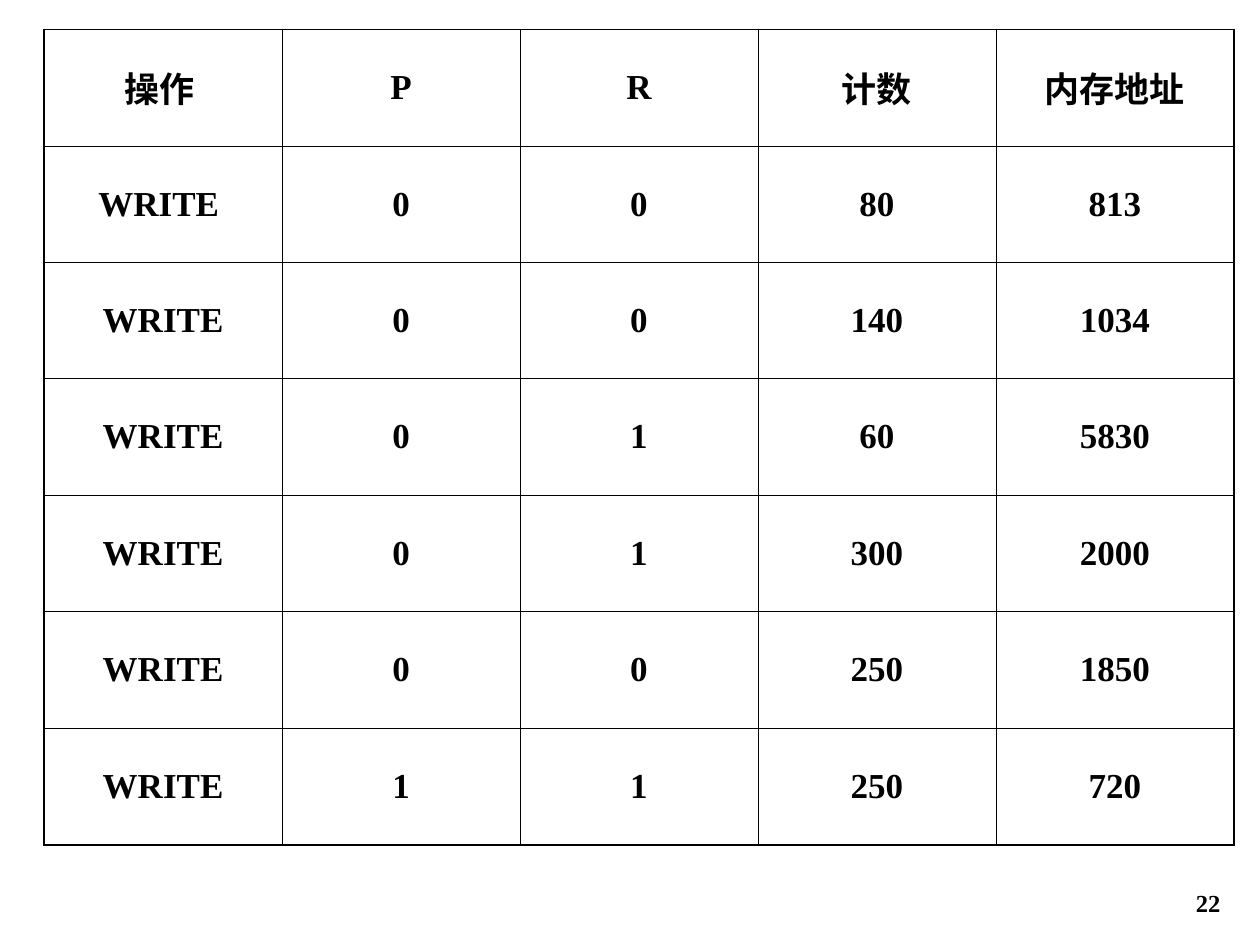
import pptx
import pptx.util
import pptx.dml.color
import pptx.enum.text
import pptx.oxml
import pptx.oxml.ns

Pt = pptx.util.Pt
ALIGN = pptx.enum.text.PP_ALIGN
ANCHOR = pptx.enum.text.MSO_ANCHOR
BLACK = pptx.dml.color.RGBColor(0, 0, 0)
FONT = "Times New Roman"

ROWS = [
    ("操作 ", "P", "R", "计数", "内存地址"),
    ("WRITE ", "0", "0", "80", "813"),
    ("WRITE", "0", "0", "140", "1034"),
    ("WRITE", "0", "1", "60", "5830"),
    ("WRITE", "0", "1", "300", "2000"),
    ("WRITE", "0", "0", "250", "1850"),
    ("WRITE", "1", "1", "250", "720"),
]
PAGE = "22"

LEFT, TOP, WIDTH, HEIGHT = 25.2, 16.8, 680, 466
THIN, THICK = 0.45, 1.08


def write(frame, text, size, align):
    frame.text = text
    para = frame.paragraphs[0]
    para.alignment = align
    font = para.runs[0].font
    font.name, font.size, font.bold = FONT, Pt(size), True
    font.color.rgb = BLACK


def border(cell, side, width):
    line = pptx.oxml.parse_xml(
        f'<a:ln{side} {pptx.oxml.ns.nsdecls("a")} w="{int(Pt(width))}">'
        f'<a:solidFill><a:srgbClr val="{BLACK}"/></a:solidFill></a:ln{side}>'
    )
    cell._tc.get_or_add_tcPr().append(line)


def add_grid(slide):
    rows, cols = len(ROWS), len(ROWS[0])
    table = slide.shapes.add_table(
        rows, cols, Pt(LEFT), Pt(TOP), Pt(WIDTH), Pt(HEIGHT)
    ).table
    table.first_row = table.horz_banding = False
    for r, row in enumerate(ROWS):
        for c, text in enumerate(row):
            cell = table.cell(r, c)
            cell.vertical_anchor = ANCHOR.MIDDLE
            write(cell.text_frame, text, 20, ALIGN.CENTER)
            outer = {"L": c == 0, "R": c == cols - 1,
                     "T": r == 0, "B": r == rows - 1}
            for side, edge in outer.items():
                border(cell, side, THICK if edge else THIN)
            cell.fill.background()


def add_page(slide):
    box = slide.shapes.add_textbox(Pt(554.4), Pt(492), Pt(150), Pt(36))
    frame = box.text_frame
    frame.word_wrap = True
    frame.vertical_anchor = ANCHOR.BOTTOM
    write(frame, PAGE, 14, ALIGN.RIGHT)


def main():
    deck = pptx.Presentation()
    deck.slide_width, deck.slide_height = Pt(720), Pt(540)
    slide = deck.slides.add_slide(deck.slide_layouts[6])
    add_page(slide)
    add_grid(slide)
    deck.save("out.pptx")


if __name__ == "__main__":
    main()
